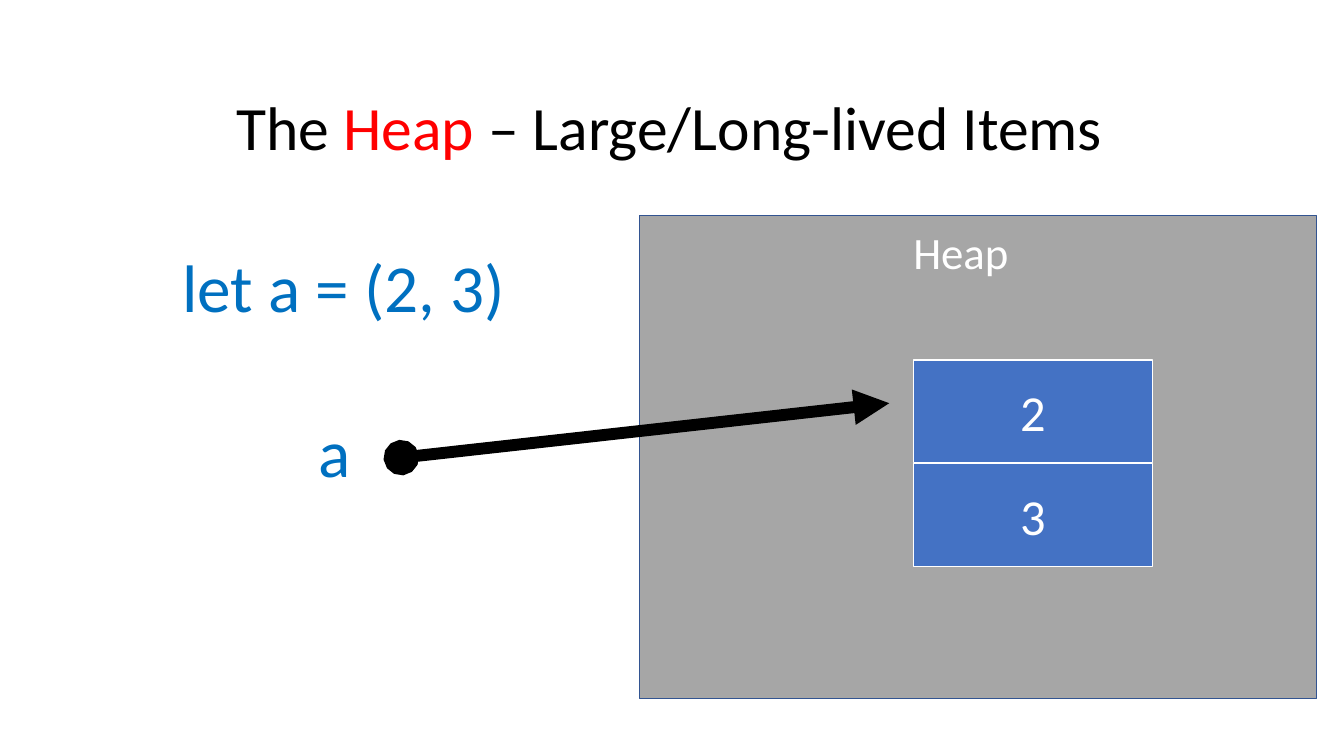
from lxml.etree import SubElement
from pptx import Presentation
from pptx.dml.color import RGBColor
from pptx.enum.shapes import MSO_CONNECTOR as Connector, MSO_SHAPE as Preset
from pptx.enum.text import MSO_ANCHOR as Anchor, MSO_AUTO_SIZE as AutoSize, PP_ALIGN as Align
from pptx.oxml.ns import qn
from pptx.util import Inches, Pt

BLACK = RGBColor(0x00, 0x00, 0x00)
WHITE = RGBColor(0xFF, 0xFF, 0xFF)
RED = RGBColor(0xFF, 0x00, 0x00)
CODE_BLUE = RGBColor(0x00, 0x70, 0xC0)
CELL_BLUE = RGBColor(0x44, 0x72, 0xC4)
BORDER_BLUE = RGBColor(0x32, 0x54, 0x91)
HEAP_GREY = RGBColor(0xA6, 0xA6, 0xA6)


class SlideBuilder:
    font_name = "Calibri"

    def __init__(self, slide):
        self.slide = slide

    def add_runs(self, paragraph, runs, size):
        for text, color in runs:
            run = paragraph.add_run()
            run.text = text
            run.font.name = self.font_name
            run.font.size = Pt(size)
            run.font.color.rgb = color

    def title(self, left, top, width, height, runs, size):
        shape = self.slide.shapes.title
        shape.left, shape.top = Inches(left), Inches(top)
        shape.width, shape.height = Inches(width), Inches(height)
        frame = shape.text_frame
        frame.auto_size = AutoSize.NONE
        frame.vertical_anchor = Anchor.MIDDLE
        paragraph = frame.paragraphs[0]
        paragraph.alignment = Align.CENTER
        paragraph.line_spacing = 0.9
        self.add_runs(paragraph, runs, size)

    def label(self, left, top, width, height, text, size, color, wrap=True):
        shape = self.slide.shapes.add_textbox(
            Inches(left), Inches(top), Inches(width), Inches(height))
        frame = shape.text_frame
        frame.word_wrap = wrap
        frame.auto_size = AutoSize.SHAPE_TO_FIT_TEXT
        self.add_runs(frame.paragraphs[0], [(text, color)], size)

    def box(self, left, top, width, height, fill, line, text=None):
        shape = self.slide.shapes.add_shape(
            Preset.RECTANGLE, Inches(left), Inches(top), Inches(width), Inches(height))
        shape.shadow.inherit = False
        shape.fill.solid()
        shape.fill.fore_color.rgb = fill
        shape.line.color.rgb = line
        shape.line.width = Pt(1)
        if text:
            frame = shape.text_frame
            frame.vertical_anchor = Anchor.MIDDLE
            paragraph = frame.paragraphs[0]
            paragraph.alignment = Align.CENTER
            self.add_runs(paragraph, [(text, WHITE)], 36)

    def pointer(self, start_x, start_y, end_x, end_y, color, width):
        connector = self.slide.shapes.add_connector(
            Connector.STRAIGHT, Inches(start_x), Inches(start_y), Inches(end_x), Inches(end_y))
        connector.line.color.rgb = color
        connector.line.width = Pt(width)
        properties = connector._element.spPr
        outline = properties.find(qn("a:ln"))
        SubElement(outline, qn("a:headEnd"), type="oval")
        SubElement(outline, qn("a:tailEnd"), type="triangle")
        SubElement(properties, qn("a:effectLst"))


def main():
    presentation = Presentation()
    presentation.slide_width = Inches(13.33)
    presentation.slide_height = Inches(7.5)
    builder = SlideBuilder(presentation.slides.add_slide(presentation.slide_layouts[5]))

    builder.title(0.89, 0.57, 11.5, 1.45, [
        ("The ", BLACK), ("Heap", RED), (" – Large/Long-lived Items", BLACK)], 44)
    builder.box(6.34, 2.14, 6.72, 4.79, HEAP_GREY, BORDER_BLUE)
    builder.label(1.71, 2.38, 3.8, 0.91, "let a = (2, 3)", 48, CODE_BLUE)
    for index, value in enumerate(["2", "3"]):
        builder.box(9.06, 3.57 + 1.03 * index, 2.37, 1.02, CELL_BLUE, WHITE, value)
    builder.pointer(3.98, 4.54, 8.82, 4, BLACK, 8.5)
    builder.label(3.06, 4.02, 0.56, 0.91, "a", 48, CODE_BLUE)
    builder.label(8.96, 2.18, 1.16, 0.64, "Heap", 32, WHITE, wrap=False)

    presentation.save("out.pptx")


if __name__ == "__main__":
    main()
